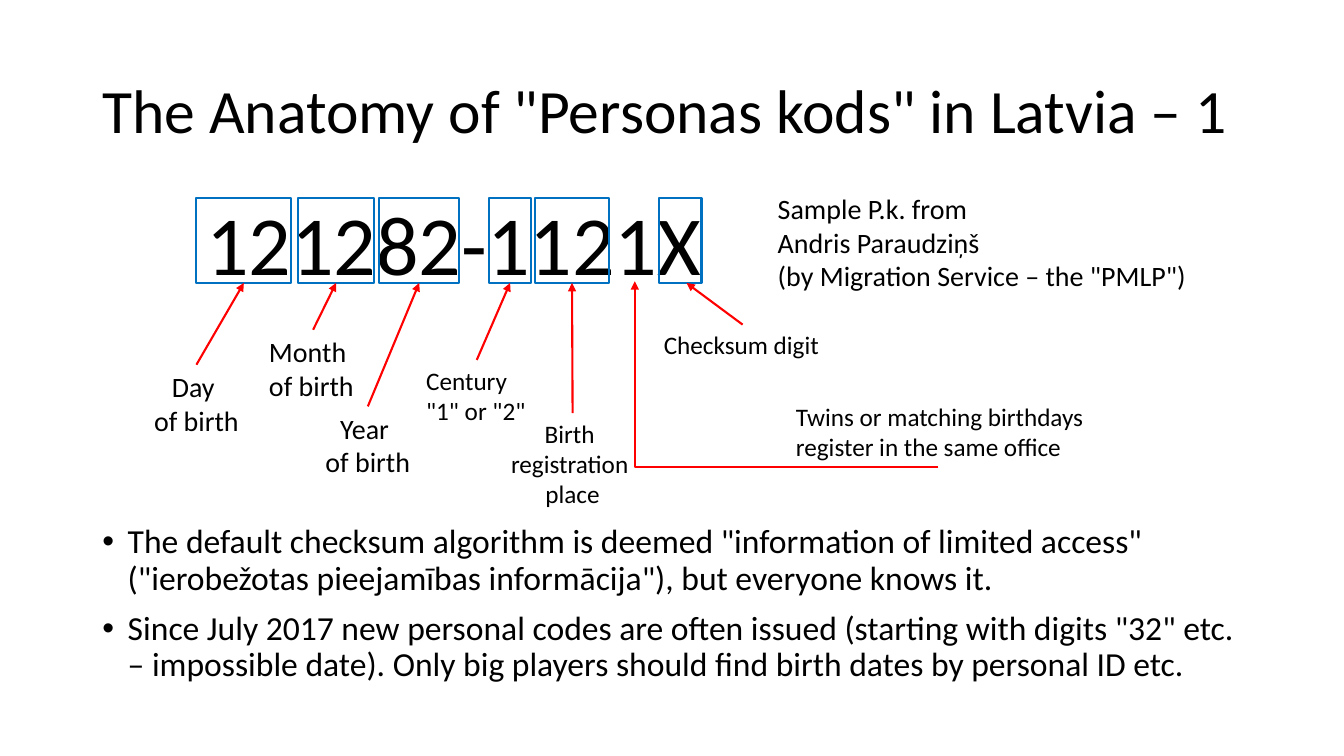
from lxml import etree
from pptx import Presentation
from pptx import util as u
from pptx.dml.color import RGBColor
from pptx.enum import shapes, text
from pptx.oxml.ns import qn

FONT, BLACK, BLUE, RED = "Calibri", "000000", "0070C0", "FF0000"
LEFT, CENTER = text.PP_ALIGN.LEFT, text.PP_ALIGN.CENTER

TITLE = 'The Anatomy of "Personas kods" in Latvia – 1'
TITLE_AT = (2.33, 1.01, 29.21, 3.68)
CODE = "121282-1121X"
CODE_AT = (4.95, 4.7, 13.11, 2.82)
SAMPLE = ["Sample P.k. from", 'Andris Paraudziņš\v(by Migration Service – the "PMLP")']
SAMPLE_AT = (19.35, 4.7, 10.9, 2.82)
BULLETS = [
    'The default checksum algorithm is deemed "information of limited access" '
    '("ierobežotas pieejamības informācija"), but everyone knows it.',
    'Since July 2017 new personal codes are often issued (starting with digits "32" etc. '
    "– impossible date). Only big players should find birth dates by personal ID etc.",
]
BULLETS_AT = (2.33, 13.1, 29.21, 4.06)

# digit box (left, width), label lines, label place, size, alignment, wrap
DIGIT_TOP, DIGIT_HEIGHT = 5.0, 2.13
PARTS = [
    ((4.95, 2.39), ["Day ", "of birth"], (3.63, 9.19, 2.64, 1.96), 20, CENTER, True),
    ((7.52, 1.9), ["Month", "of birth"], (6.53, 8.31, 2.72, 1.96), 20, LEFT, True),
    ((9.55, 2.03), ["Year ", "of birth"], (7.67, 10.24, 3.2, 1.96), 20, CENTER, True),
    ((12.32, 1.07), ["Century", '"1" or "2"'], (10.49, 9.07, 3.05, 1.8), 18, LEFT, False),
    ((13.49, 1.85), ["Birth ", "registration ", "place"], (12.6, 10.41, 3.66, 2.57), 18, CENTER, False),
    ((16.61, 1.07), ["Checksum digit"], (16.48, 8.18, 4.47, 1.02), 18, LEFT, False),
]
CHECKSUM_TIP = (17.3, 7.13)
TWINS = ["Twins or matching birthdays register in the same office"]
TWINS_AT = (19.81, 9.98, 8.97, 1.8)
TWINS_ARROW = (23.65, 11.76, 16.0, 7.09)


def cm(values):
    return [u.Cm(v) for v in values]


def color(hex_string):
    return RGBColor.from_string(hex_string)


def write(frame, lines, size, align=LEFT, wrap=True):
    """Fill a text frame with one paragraph per line; \\v breaks a line inside one."""
    frame.word_wrap = wrap
    for i, line in enumerate(lines):
        paragraph = frame.paragraphs[0] if i == 0 else frame.add_paragraph()
        paragraph.alignment = align
        for j, piece in enumerate(line.split("\v")):
            if j:
                paragraph.add_line_break()
            run = paragraph.add_run()
            run.text = piece
            run.font.name, run.font.size = FONT, u.Pt(size)
            run.font.color.rgb = color(BLACK)


def add_text(slide, place, lines, size, align=LEFT, wrap=True):
    box = slide.shapes.add_textbox(*cm(place))
    write(box.text_frame, lines, size, align, wrap)
    return box


def add_digit_box(slide, left, width):
    box = slide.shapes.add_shape(
        shapes.MSO_SHAPE.RECTANGLE, *cm((left, DIGIT_TOP, width, DIGIT_HEIGHT)))
    box.shadow.inherit = False
    box.fill.background()
    box.line.color.rgb, box.line.width = color(BLUE), u.Pt(1.5)
    return box


def add_arrow(slide, kind, ends):
    arrow = slide.shapes.add_connector(kind, *ends)
    arrow.line.color.rgb, arrow.line.width = color(RED), u.Pt(1.5)
    etree.SubElement(arrow.line._get_or_add_ln(), qn("a:tailEnd"), type="triangle")
    etree.SubElement(arrow._element.spPr, qn("a:effectLst"))
    return arrow


def add_bullets(slide):
    box = add_text(slide, BULLETS_AT, BULLETS, 24)
    for i, paragraph in enumerate(box.text_frame.paragraphs):
        properties = paragraph._p.get_or_add_pPr()
        properties.set("marL", str(u.Cm(0.64)))
        properties.set("indent", str(-u.Cm(0.64)))
        etree.SubElement(properties, qn("a:buFont"), typeface="Arial")
        etree.SubElement(properties, qn("a:buChar"), char="•")
        paragraph.line_spacing = 0.9
        paragraph.space_before = u.Pt(10 if i else 0)


def main():
    deck = Presentation()
    deck.slide_width, deck.slide_height = cm((33.87, 19.05))
    slide = deck.slides.add_slide(deck.slide_layouts[5])

    title = slide.shapes.title
    title.left, title.top, title.width, title.height = cm(TITLE_AT)
    write(title.text_frame, [TITLE], 44)
    title.text_frame.vertical_anchor = text.MSO_ANCHOR.MIDDLE
    title.text_frame.paragraphs[0].line_spacing = 0.9

    add_bullets(slide)
    add_text(slide, CODE_AT, [CODE], 60, wrap=False)
    add_text(slide, SAMPLE_AT, SAMPLE, 20, wrap=False)

    straight = shapes.MSO_CONNECTOR.STRAIGHT
    for digits, lines, place, size, align, wrap in PARTS:
        digit_box = add_digit_box(slide, *digits)
        label = add_text(slide, place, lines, size, align, wrap)
        arrow = add_arrow(slide, straight, cm((0, 0) + CHECKSUM_TIP))
        arrow.begin_connect(label, 0)
        if lines != ["Checksum digit"]:
            arrow.end_connect(digit_box, 2)

    add_text(slide, TWINS_AT, TWINS, 18)
    twins_arrow = add_arrow(slide, shapes.MSO_CONNECTOR.ELBOW, cm(TWINS_ARROW))
    bend = twins_arrow._element.spPr.find(qn("a:prstGeom")).get_or_add_avLst()
    etree.SubElement(bend, qn("a:gd"), name="adj1", fmla="val 100000")

    deck.save("out.pptx")


if __name__ == "__main__":
    main()
